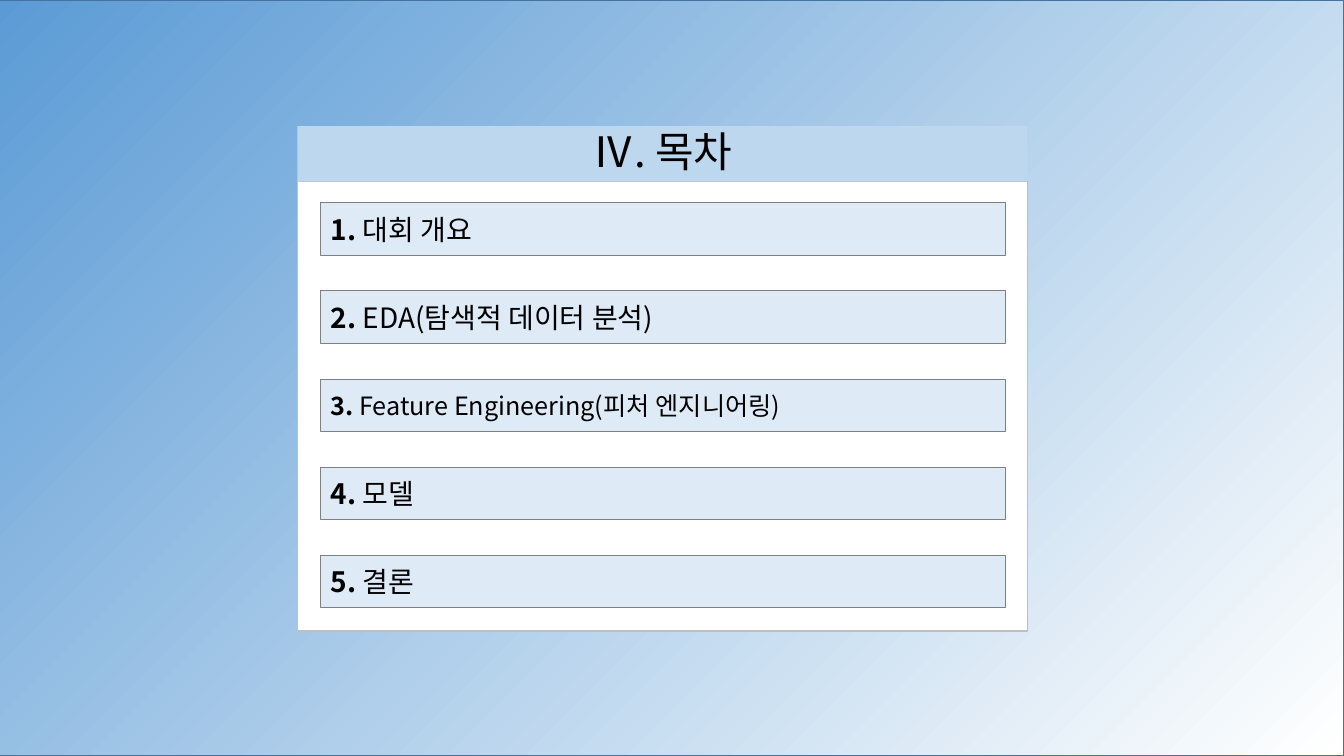
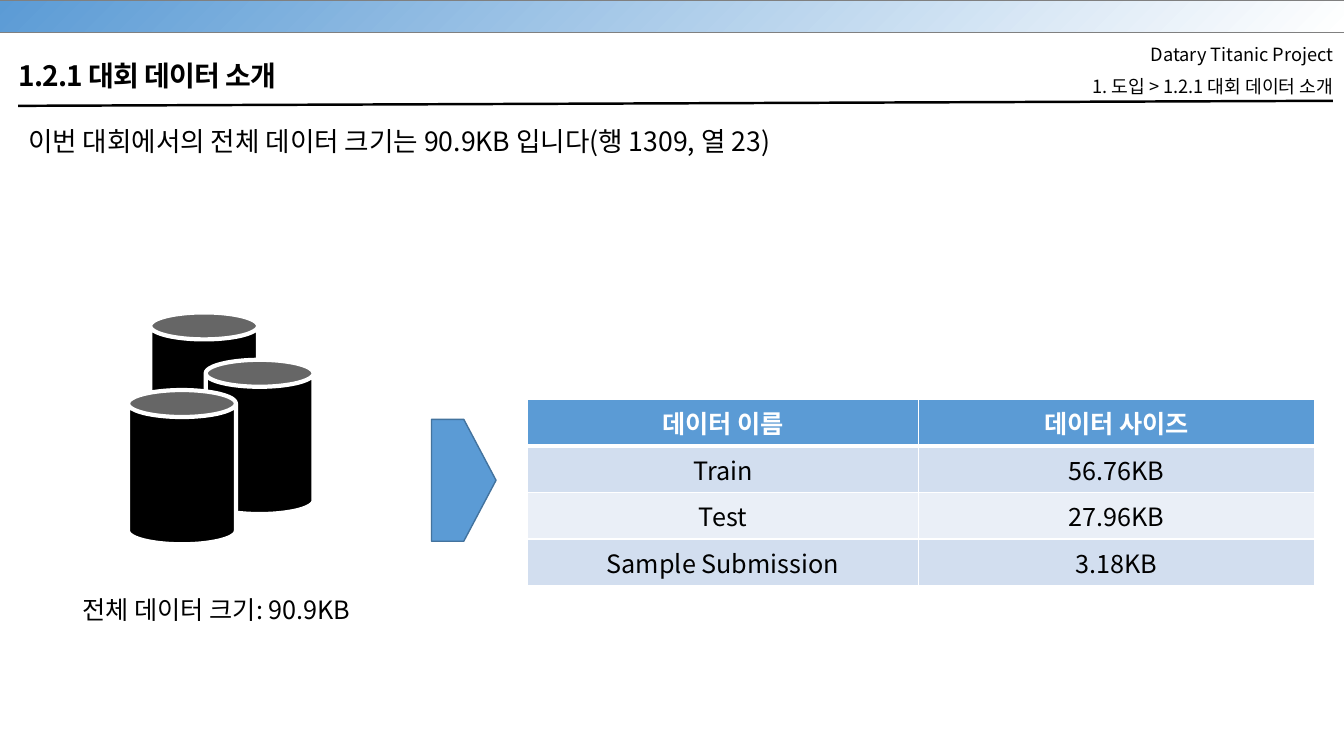
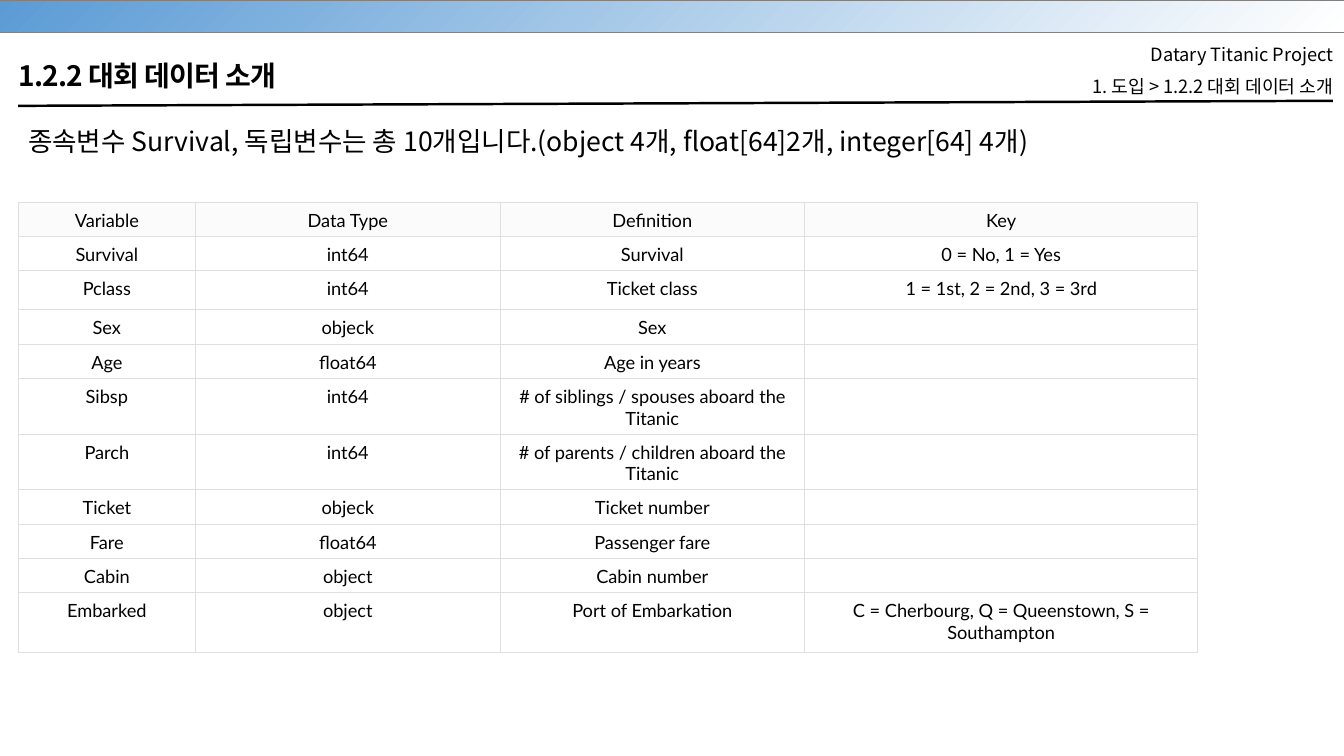
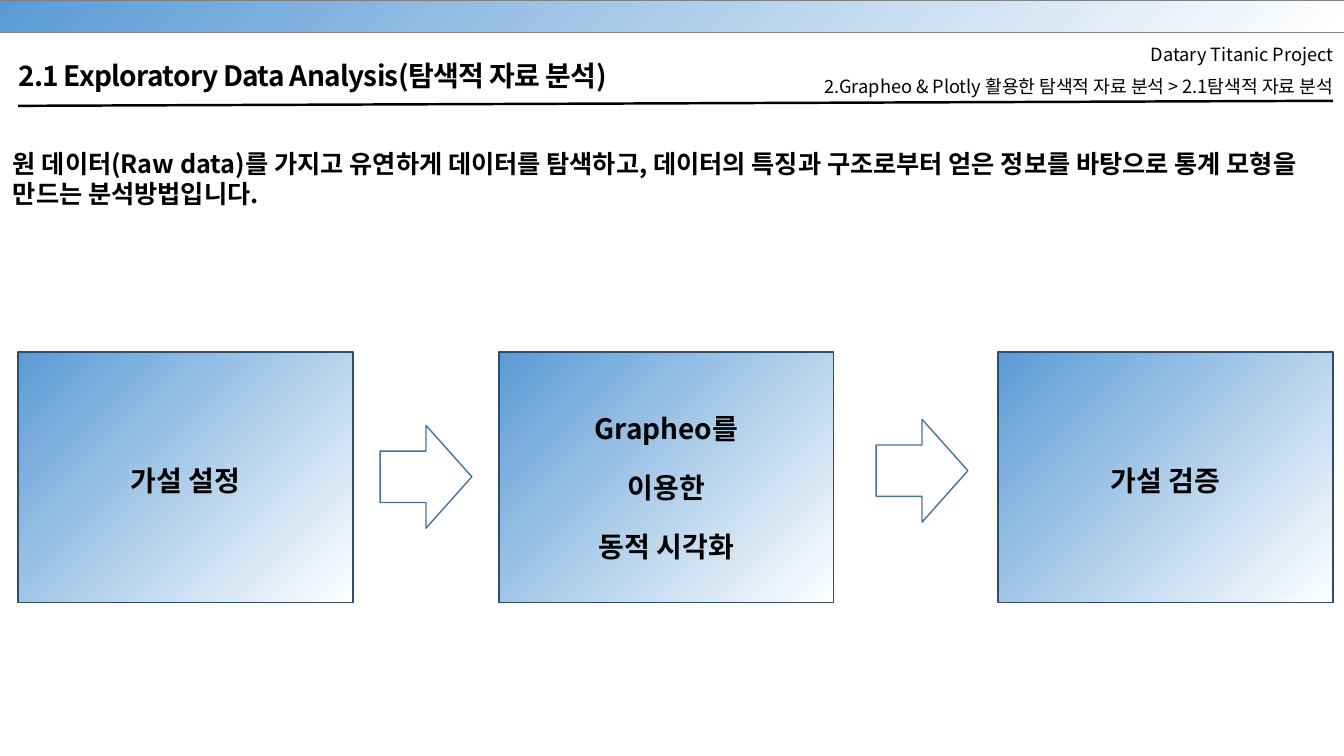
from lxml import etree
from pptx import Presentation
from pptx import util as u
from pptx.dml.color import RGBColor
from pptx.enum import shapes, text
from pptx.oxml.ns import qn

In, Pt = u.Inches, u.Pt
KIND, ALIGN, ANCHOR = shapes.MSO_SHAPE, text.PP_ALIGN, text.MSO_ANCHOR
FONT = "Noto Sans CJK KR"
HEX = {
    "black": "000000", "white": "FFFFFF", "blue": "5B9BD5", "edge": "43739E",
    "navy": "2D4D6A", "gray": "808080", "silver": "BFBFBF", "sky": "BDD7EE",
    "pale": "DEEBF7", "band1": "D2DEEF", "band2": "EAEFF7",
    "rule": "DEDFE0", "head": "FBFBFB",
}
EDGE, WIDE = 0.18, 13.35
PAD = (0.1, 0.05, 0.1, 0.05)


def rgb(name):
    return RGBColor.from_string(HEX[name])


# ---- Text ----
def style(run, size, color="black", bold=False, face=FONT, track=None):
    font = run.font
    font.size, font.bold, font.name = Pt(size), bold, face
    font.color.rgb = rgb(color)
    props = font._element
    etree.SubElement(props, qn("a:ea"), typeface=face)
    if track:
        props.set("spc", str(int(track * 100)))


def write(frame, words, size, align=ALIGN.LEFT, before=0, lines=None,
          anchor=ANCHOR.TOP, pad=PAD, **look):
    frame.word_wrap = True
    frame.auto_size = text.MSO_AUTO_SIZE.NONE
    frame.vertical_anchor = anchor
    (frame.margin_left, frame.margin_top,
     frame.margin_right, frame.margin_bottom) = map(In, pad)
    frame.text = words
    for para in frame.paragraphs:
        para.alignment, para.space_before = align, Pt(before)
        para.line_spacing = lines
        for run in para.runs:
            style(run, size, **look)


def label(slide, at, words, size, **look):
    box = slide.shapes.add_textbox(*map(In, at))
    write(box.text_frame, words, size, **look)


def title(slide, at, words, size, **look):
    box = slide.shapes.title
    box.left, box.top, box.width, box.height = map(In, at)
    write(box.text_frame, words, size, anchor=ANCHOR.MIDDLE, **look)
    return box


# ---- Shapes ----
def shape(slide, kind, at, fill=None, line=None, width=1.0):
    """Draw a preset shape; without a fill it gets the blue fade."""
    item = slide.shapes.add_shape(kind, *map(In, at))
    item.shadow.inherit = False
    if fill:
        item.fill.solid()
        item.fill.fore_color.rgb = rgb(fill)
    else:
        item.fill.gradient()
        item.fill.gradient_angle = 315
        for stop, name in zip(item.fill.gradient_stops, ("blue", "white")):
            stop.color.rgb = rgb(name)
    item.line.color.rgb = rgb(line)
    item.line.width = Pt(width)
    return item


def page(deck, name, trail, left=9.03):
    """Add a content slide with its band, title, trail and rule."""
    slide = deck.slides.add_slide(deck.slide_layouts[5])
    shape(slide, KIND.RECTANGLE, (-0.02, 0, WIDE, 0.32), line="gray", width=0.5)
    title(slide, (EDGE, 0.56, 7.8, 0.38), name, 20, bold=True, track=-0.5,
          pad=(0,) * 4)
    label(slide, (left, 0.42, 13.22 - left, 0.57),
          "Datary Titanic Project\n" + trail, 13, align=ALIGN.RIGHT,
          before=6.5, lines=1.05, pad=(0,) * 4)
    rule = slide.shapes.add_connector(
        shapes.MSO_CONNECTOR.STRAIGHT, In(13.22), In(1), In(EDGE), In(1.05))
    rule.line.color.rgb, rule.line.width = rgb("black"), Pt(1.75)
    etree.SubElement(rule._element.spPr, qn("a:effectLst"))
    return slide


# ---- Tables ----
def border(cell, color, widths):
    props = cell._tc.get_or_add_tcPr()
    for side, width in zip("LRTB", widths):
        line = etree.SubElement(props, qn("a:ln" + side), w=str(Pt(width)))
        fill = etree.SubElement(line, qn("a:solidFill"))
        etree.SubElement(fill, qn("a:srgbClr"), val=HEX[color])


def grid(slide, at, cols, highs, rows, paint):
    """Build a table; paint(cell, row number, words) formats each cell."""
    table = slide.shapes.add_table(
        len(rows), len(cols), *map(In, at)).table
    table.horz_banding = False
    for col, width in zip(table.columns, cols):
        col.width = In(width)
    for r, (row, high) in enumerate(zip(rows, highs)):
        table.rows[r].height = In(high)
        for c, words in enumerate(row):
            paint(table.cell(r, c), r, words)


def fill_cell(cell, words, size, fill, anchor=ANCHOR.TOP, pad=PAD, **look):
    cell.fill.solid()
    cell.fill.fore_color.rgb = rgb(fill)
    cell.vertical_anchor = anchor
    (cell.margin_left, cell.margin_top,
     cell.margin_right, cell.margin_bottom) = map(In, pad)
    cell.text_frame.text = words
    para = cell.text_frame.paragraphs[0]
    para.alignment = ALIGN.CENTER
    for run in para.runs:
        style(run, size, **look)
    if not words:
        etree.SubElement(para._p, qn("a:endParaRPr"), sz=str(size * 100))


def size_cell(cell, r, words):
    top, base = (3 if r == 1 else 1), (3 if r == 0 else 1)
    border(cell, "white", (1, 1, top, base))
    fill = "blue" if r == 0 else ("band2", "band1")[r % 2]
    fill_cell(cell, words, 18, fill, bold=r == 0,
              color="white" if r == 0 else "black")


def field_cell(cell, r, words):
    border(cell, "rule", (0.75,) * 4)
    fill_cell(cell, words, 13, "white" if r else "head", face="Lato",
              anchor=ANCHOR.TOP if r else ANCHOR.MIDDLE,
              pad=(0.18, 0.07, 0.18, 0.05))


# ---- Slides ----
def agenda(deck):
    slide = deck.slides.add_slide(deck.slide_layouts[5])
    shape(slide, KIND.RECTANGLE, (-0.02, 0, WIDE, 7.5), line="edge")
    shape(slide, KIND.RECTANGLE, (2.95, 1.8, 7.24, 4.46), "white", "silver")
    head = title(slide, (2.95, 1.25, 7.24, 0.55), "Ⅳ. 목차", 30,
                 align=ALIGN.CENTER, lines=0.9)
    head.fill.solid()
    head.fill.fore_color.rgb = rgb("sky")
    head.element.getparent().append(head.element)  # above the backdrop
    topics = [("대회 개요", 20), ("EDA(탐색적 데이터 분석)", 20),
              ("Feature Engineering(피처 엔지니어링)", 18),
              ("모델", 20), ("결론", 20)]
    for i, (topic, size) in enumerate(topics):
        bar = shape(slide, KIND.RECTANGLE, (3.18, 2.01 + 0.875 * i, 6.79, 0.52),
                    "pale", "gray", 0.5)
        write(bar.text_frame, f"{i + 1}. ", size, bold=True,
              anchor=ANCHOR.MIDDLE)
        run = bar.text_frame.paragraphs[0].add_run()
        run.text = topic
        style(run, size)


def sizes(deck):
    slide = page(deck, "1.2.1 대회 데이터 소개", "1. 도입 > 1.2.1 대회 데이터 소개")
    label(slide, (EDGE, 1.19, WIDE, 0.42),
          "이번 대회에서의 전체 데이터 크기는 90.9KB 입니다(행 1309, 열 23)", 19)
    for left, top in ((1.49, 3.1), (2.04, 3.57), (1.27, 3.87)):
        can = shape(slide, KIND.CAN, (left, top, 1.07, 1.53),
                    "black", "white", 3)
        can.adjustments[0] = 0.25
    label(slide, (0.72, 5.85, 3.29, 0.4), "전체 데이터 크기: 90.9KB", 18)
    rows = [("데이터 이름", "데이터 사이즈"), ("Train", "56.76KB"),
            ("Test", "27.96KB"), ("Sample Submission", "3.18KB")]
    grid(slide, (5.23, 3.96, 7.82, 1.62), (3.88, 3.93), [0.41] * 4, rows,
         size_cell)
    shape(slide, KIND.PENTAGON, (4.28, 4.16, 0.64, 1.21), "blue", "edge")


def fields(deck):
    slide = page(deck, "1.2.2 대회 데이터 소개", "1. 도입 > 1.2.2 대회 데이터 소개")
    label(slide, (EDGE, 1.19, WIDE, 0.42),
          "종속변수 Survival, 독립변수는 총 10개입니다."
          "(object 4개, float[64]2개, integer[64] 4개)", 19)
    rows = [
        ("Variable", "Data Type", "Definition", "Key"),
        ("Survival", "int64", "Survival", "0 = No, 1 = Yes"),
        ("Pclass", "int64", "Ticket class", "1 = 1st, 2 = 2nd, 3 = 3rd"),
        ("Sex", "objeck", "Sex", ""),
        ("Age", "float64", "Age in years", ""),
        ("Sibsp", "int64", "# of siblings / spouses aboard the Titanic", ""),
        ("Parch", "int64", "# of parents / children aboard the Titanic", ""),
        ("Ticket", "objeck", "Ticket number", ""),
        ("Fare", "float64", "Passenger fare", ""),
        ("Cabin", "object", "Cabin number", ""),
        ("Embarked", "object", "Port of Embarkation",
         "C = Cherbourg, Q = Queenstown, S = Southampton"),
    ]
    highs = [0.32] * 2 + [0.39] + [0.32] * 2 + [0.53] * 2 + [0.32] * 3 + [0.59]
    grid(slide, (EDGE, 2.01, 11.69, 4.44), (1.76, 3.02, 3.02, 3.9), highs,
         rows, field_cell)


def explore(deck):
    slide = page(deck, "2.1 Exploratory Data Analysis(탐색적 자료 분석)",
                 "2.Grapheo & Plotly 활용한 탐색적 자료 분석 > 2.1탐색적 자료 분석",
                 7.77)
    label(slide, (0.03, 1.42, WIDE, 0.71),
          "원 데이터(Raw data)를 가지고 유연하게 데이터를 탐색하고, 데이터의 특징과 "
          "구조로부터 얻은 정보를 바탕으로 통계 모형을 만드는 분석방법입니다.",
          18, bold=True)
    steps = [(EDGE, "가설 설정", 0.1),
             (4.95, "Grapheo를\n이용한\n동적 시각화", 0.25),
             (9.9, "가설 검증", 0.1)]
    for left, words, top in steps:
        box = shape(slide, KIND.RECTANGLE, (left, 3.49, 3.32, 2.49),
                    line="navy")
        write(box.text_frame, words, 20, align=ALIGN.CENTER, before=18,
              anchor=ANCHOR.MIDDLE, pad=(0.1, top, 0.1, 0.05), bold=True)
    for left, top in ((3.77, 4.22), (8.69, 4.16)):
        shape(slide, KIND.RIGHT_ARROW, (left, top, 0.91, 1.02),
              "white", "edge")


def main():
    deck = Presentation()
    deck.slide_width, deck.slide_height = In(13.33), In(7.5)
    for build in (agenda, sizes, fields, explore):
        build(deck)
    deck.save("out.pptx")


if __name__ == "__main__":
    main()
